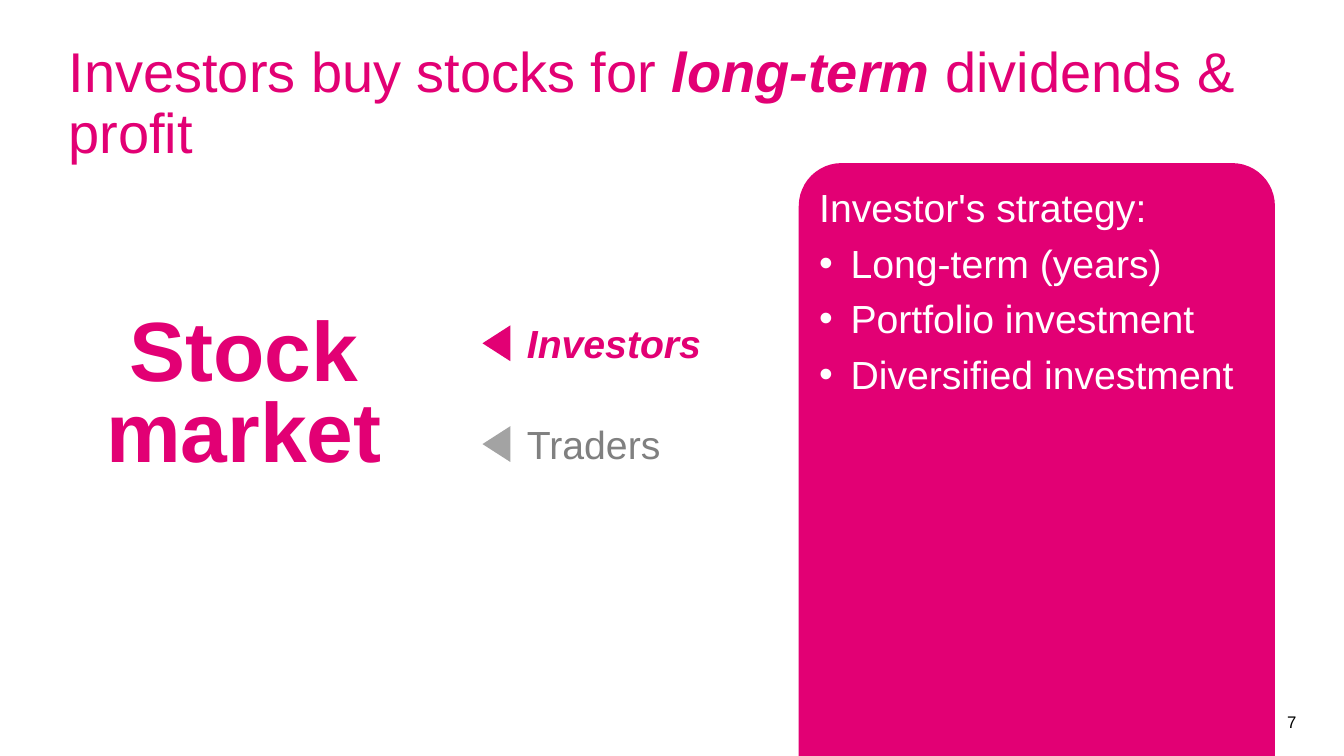
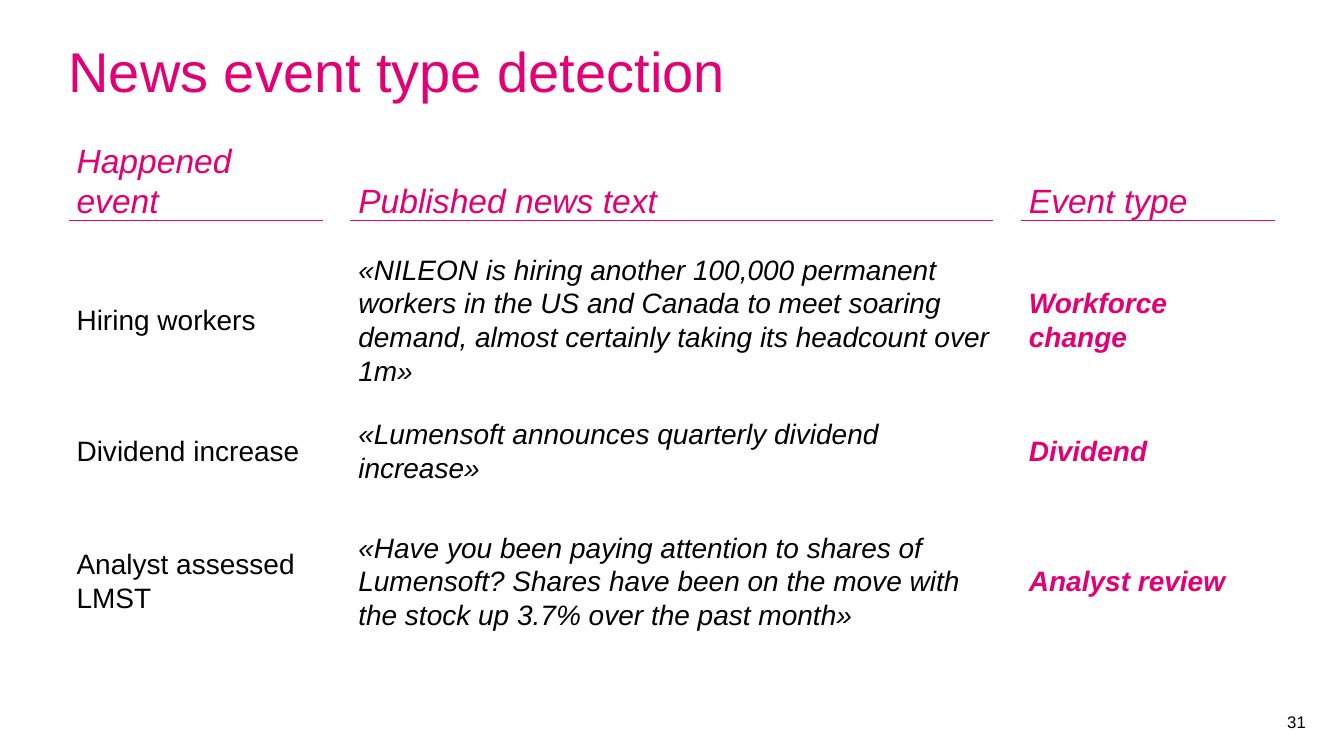
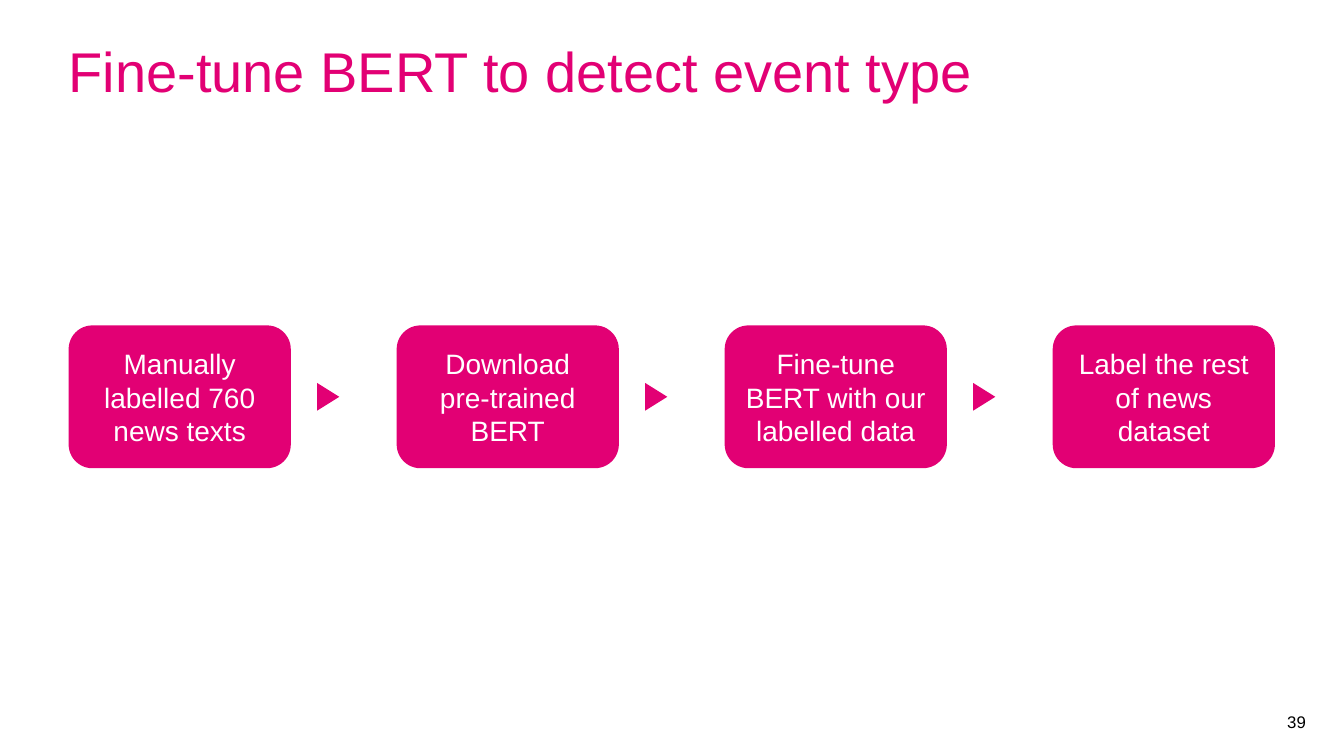
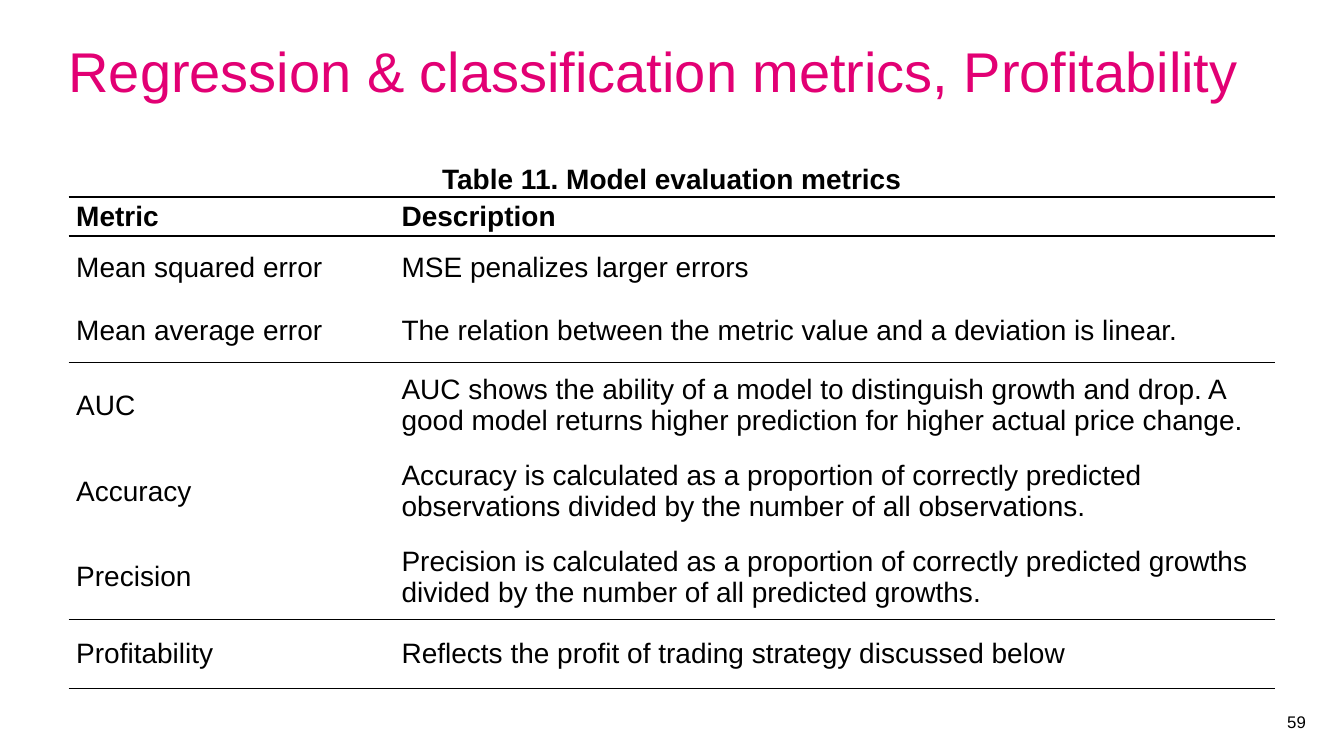
from dataclasses import dataclass

from lxml.etree import SubElement
from pptx import Presentation
from pptx.dml.color import RGBColor
from pptx.enum.shapes import MSO_CONNECTOR, MSO_SHAPE
from pptx.enum.text import MSO_ANCHOR, PP_ALIGN
from pptx.oxml.ns import qn
from pptx.util import Cm, Pt


@dataclass(frozen=True)
class Theme:
    font: str = "Arial"
    accent: str = "E20074"
    text: str = "000000"
    inverse: str = "FFFFFF"
    muted: str = "808080"
    muted_shape: str = "A3A3A3"
    title_size: int = 40
    hero_size: int = 60
    large_size: int = 28
    heading_size: int = 24
    body_size: int = 20
    number_size: int = 12
    inset: float = 0.2


@dataclass(frozen=True)
class Box:
    """An area on the slide, in centimetres."""
    left: float
    top: float
    width: float
    height: float

    def lengths(self):
        return Cm(self.left), Cm(self.top), Cm(self.width), Cm(self.height)


THEME = Theme()
TITLE = Box(1.73, 1.12, 30.4, 2)
PAGE_NUMBER = Box(32.44, 17.73, 0.7, 0.9)
NO_STYLE_NO_GRID = "{2D5ABB26-0587-4C30-8999-92F81FD0307C}"


def add_bullet(paragraph, color):
    properties = paragraph._p.get_or_add_pPr()
    properties.set("marL", str(Cm(0.79)))
    properties.set("indent", str(-Cm(0.79)))
    bullet_color = SubElement(properties, qn("a:buClr"))
    SubElement(bullet_color, qn("a:srgbClr"), val=color)
    SubElement(properties, qn("a:buFont"), typeface=THEME.font)
    SubElement(properties, qn("a:buChar"), char="•")


def write(frame, text, size=THEME.body_size, color=THEME.text, bold=False,
          italic=False, align=PP_ALIGN.LEFT, line_spacing=None,
          space_after=None, bullets_from=None):
    """Text is a string or a list of paragraphs; a paragraph is a string
    or a list of (text, emphasised) runs."""
    paragraphs = [text] if isinstance(text, str) else text
    for index, content in enumerate(paragraphs):
        paragraph = frame.paragraphs[0] if index == 0 else frame.add_paragraph()
        if bullets_from is not None and index >= bullets_from:
            add_bullet(paragraph, color)
        paragraph.alignment = align
        if line_spacing:
            paragraph.line_spacing = line_spacing
        if space_after:
            paragraph.space_after = Pt(space_after)
        runs = [(content, False)] if isinstance(content, str) else content
        for run_text, emphasised in runs:
            run = paragraph.add_run()
            run.text = run_text
            run.font.name = THEME.font
            run.font.size = Pt(size)
            run.font.color.rgb = RGBColor.from_string(color)
            run.font.bold = bold or emphasised
            run.font.italic = italic or emphasised


def fill_frame(shape, text, inset=0.0, anchor=MSO_ANCHOR.MIDDLE, **style):
    frame = shape.text_frame
    frame.word_wrap = True
    frame.vertical_anchor = anchor
    frame.margin_left = frame.margin_right = Cm(inset)
    frame.margin_top = frame.margin_bottom = Cm(inset)
    write(frame, text, **style)


def add_text(shapes, box, text, **style):
    fill_frame(shapes.add_textbox(*box.lengths()), text, **style)


def add_filled_shape(shapes, kind, box, color=THEME.accent):
    shape = shapes.add_shape(kind, *box.lengths())
    shape.shadow.inherit = False
    shape.fill.solid()
    shape.fill.fore_color.rgb = RGBColor.from_string(color)
    shape.line.fill.background()
    return shape


def add_pointer(shapes, center_x, center_y, base, depth, rotation,
                color=THEME.accent):
    box = Box(center_x - base / 2, center_y - depth / 2, base, depth)
    add_filled_shape(shapes, MSO_SHAPE.ISOSCELES_TRIANGLE, box,
                     color).rotation = rotation


def add_rule(shapes, left, right, y):
    rule = shapes.add_connector(MSO_CONNECTOR.STRAIGHT,
                                Cm(left), Cm(y), Cm(right), Cm(y))
    rule.line.color.rgb = RGBColor.from_string(THEME.accent)
    rule.line.width = Pt(1)
    SubElement(rule._element.spPr, qn("a:effectLst"))


def add_slide(presentation, title, number):
    shapes = presentation.slides.add_slide(presentation.slide_layouts[6]).shapes
    add_text(shapes, TITLE, [title], size=THEME.title_size, color=THEME.accent,
             anchor=MSO_ANCHOR.TOP, line_spacing=0.9)
    add_text(shapes, PAGE_NUMBER, str(number), size=THEME.number_size)
    return shapes


def add_market(shapes, box):
    """Market name on the left, its participants pointing at it."""
    add_text(shapes, Box(box.left, box.top, 8.03, box.height), "Stock market",
             size=THEME.hero_size, color=THEME.accent, bold=True,
             align=PP_ALIGN.CENTER, line_spacing=0.8)
    participants = [
        ("Investors", THEME.accent, THEME.accent, True),
        ("Traders", THEME.muted, THEME.muted_shape, False),
    ]
    for index, (name, color, pointer_color, strong) in enumerate(participants):
        middle = box.top + 0.75 + index * 2.54
        add_text(shapes, Box(box.left + 11.15, middle - 0.98, 4.4, 1.96), name,
                 size=THEME.large_size, color=color, bold=strong,
                 italic=strong, space_after=3)
        add_pointer(shapes, box.left + 10.38, middle, 0.9, 0.7, 270,
                    pointer_color)


def add_strategy_panel(shapes, box):
    panel = add_filled_shape(shapes, MSO_SHAPE.ROUNDED_RECTANGLE, box)
    panel.adjustments[0] = 0.09
    fill_frame(panel, ["Investor's strategy:", "Long-term (years)",
                       "Portfolio investment", "Diversified investment"],
               inset=THEME.inset, anchor=MSO_ANCHOR.TOP, size=THEME.large_size,
               color=THEME.inverse, space_after=6, bullets_from=1)


def add_news_grid(shapes, box):
    gap, row_gap = 0.7, 1.39
    widths = [6.4, box.width - 2 * (6.4 + gap), 6.4]
    lefts = [box.left + sum(widths[:i]) + i * gap for i in range(3)]
    headings = ["Happened event", "Published news text", "Event type"]
    for left, width, heading in zip(lefts, widths, headings):
        add_text(shapes, Box(left, box.top, width, 1.6), heading,
                 inset=THEME.inset, anchor=MSO_ANCHOR.BOTTOM,
                 size=THEME.heading_size, color=THEME.accent, italic=True)
        add_rule(shapes, left, left + width, box.top + 1.4)

    styles = [{}, {"italic": True},
              {"italic": True, "bold": True, "color": THEME.accent}]
    text_widths = [widths[0], widths[1] + 0.3, widths[2]]
    rows = [
        (2.6, ("Hiring workers",
               "«NILEON is hiring another 100,000 permanent workers in the US "
               "and Canada to meet soaring demand, almost certainly taking its "
               "headcount over 1m»",
               "Workforce change")),
        (1.2, ("Dividend increase",
               "«Lumensoft announces quarterly dividend increase»",
               "Dividend")),
        (2.6, ("Analyst assessed LMST",
               "«Have you been paying attention to shares of Lumensoft? Shares "
               "have been on the move with the stock up 3.7% over the past "
               "month»",
               "Analyst review")),
    ]
    top = box.top + 2.59
    for height, texts in rows:
        row_shapes = shapes.add_group_shape().shapes
        for left, width, text, style in zip(lefts, text_widths, texts, styles):
            add_text(row_shapes, Box(left, top, width, height), text,
                     inset=THEME.inset, **style)
        top += height + row_gap


def add_process(shapes, box, steps):
    step_width = 5.6
    pitch = (box.width - step_width) / (len(steps) - 1)
    for index, step in enumerate(steps):
        left = box.left + index * pitch
        card = add_filled_shape(shapes, MSO_SHAPE.ROUNDED_RECTANGLE,
                                Box(left, box.top, step_width, box.height))
        fill_frame(card, step, inset=THEME.inset, color=THEME.inverse,
                   align=PP_ALIGN.CENTER)
        if index < len(steps) - 1:
            add_pointer(shapes, left + step_width + 0.94,
                        box.top + box.height / 2, 0.7, 0.56, 90)


def set_bottom_border(cell, width):
    border = SubElement(cell._tc.get_or_add_tcPr(), qn("a:lnB"),
                        w=str(Pt(width)))
    fill = SubElement(border, qn("a:solidFill"))
    SubElement(fill, qn("a:srgbClr"), val=THEME.text)


def add_metrics_table(shapes, box):
    rows = [  # height, bottom border in points, texts
        (0.86, 1.5, ("Table 11. Model evaluation metrics", "")),
        (0.97, 1.5, ("Metric", "Description")),
        (1.6, 0, ("Mean squared error", "MSE penalizes larger errors")),
        (1.6, 1, ("Mean average error",
                  "The relation between the metric value and a deviation is "
                  "linear.")),
        (2.16, 0, ("AUC",
                   "AUC shows the ability of a model to distinguish growth and "
                   "drop. A good model returns higher prediction for higher "
                   "actual price change.")),
        (2.16, 0, ("Accuracy",
                   "Accuracy is calculated as a proportion of correctly "
                   "predicted observations divided by the number of all "
                   "observations.")),
        (2.16, 1, ("Precision",
                   "Precision is calculated as a proportion of correctly "
                   "predicted growths divided by the number of all predicted "
                   "growths.")),
        (1.73, 1, ("Profitability",
                   "Reflects the profit of trading strategy discussed below")),
    ]
    table = shapes.add_table(len(rows), 2, *box.lengths()).table
    table._tbl.tblPr.find(qn("a:tableStyleId")).text = NO_STYLE_NO_GRID
    table.first_row = table.horz_banding = False
    table.columns[0].width = Cm(8.2)
    table.columns[1].width = Cm(box.width - 8.2)
    table.cell(0, 0).merge(table.cell(0, 1))
    for row_index, (height, border, texts) in enumerate(rows):
        table.rows[row_index].height = Cm(height)
        for column_index, text in enumerate(texts):
            cell = table.cell(row_index, column_index)
            cell.vertical_anchor = MSO_ANCHOR.MIDDLE
            cell.margin_left = cell.margin_right = Cm(0.19)
            cell.margin_top = cell.margin_bottom = 0
            if border:
                set_bottom_border(cell, border)
            cell.fill.background()
            if text:
                write(cell.text_frame, text, bold=row_index < 2,
                      align=PP_ALIGN.LEFT if row_index else PP_ALIGN.CENTER)


def main():
    presentation = Presentation()
    presentation.slide_width = Cm(33.87)
    presentation.slide_height = Cm(19.05)
    left, width = TITLE.left, TITLE.width

    shapes = add_slide(presentation, [("Investors buy stocks for ", False),
                                      ("long-term", True),
                                      (" dividends & profit", False)], 7)
    add_market(shapes, Box(2.13, 7.9, 15.55, 4.24))
    add_strategy_panel(shapes, Box(left + width - 12, 4.11, 12, 17.2))

    shapes = add_slide(presentation, "News event type detection", 31)
    add_news_grid(shapes, Box(left, 4.16, width, 11.8))

    shapes = add_slide(presentation, "Fine-tune BERT to detect event type", 39)
    add_process(shapes, Box(left, 8.2, width, 3.6), [
        "Manually labelled 760 news texts",
        ["Download", "pre-trained BERT"],
        "Fine-tune BERT with our labelled data",
        "Label the rest of news dataset",
    ])

    shapes = add_slide(presentation,
                       "Regression & classification metrics, Profitability", 59)
    add_metrics_table(shapes, Box(left, 4.11, width, 13.24))

    presentation.save("out.pptx")


if __name__ == "__main__":
    main()
